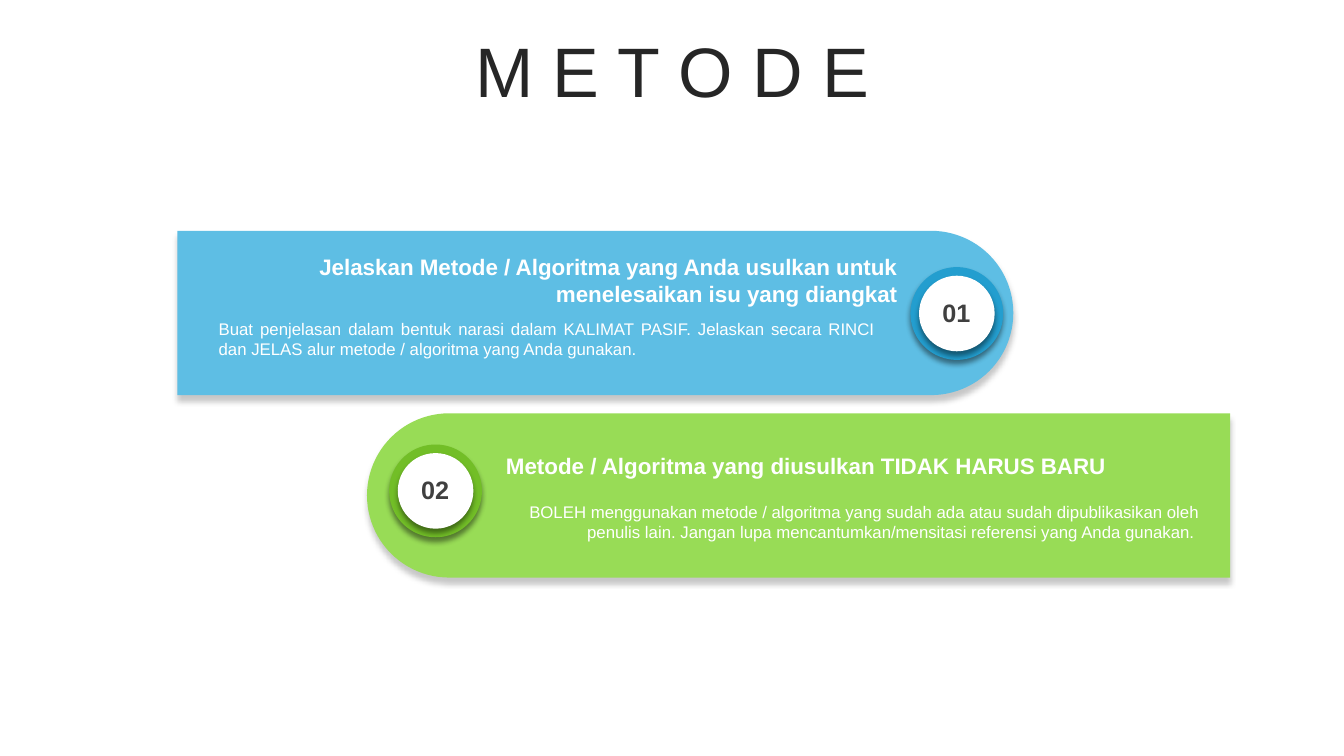
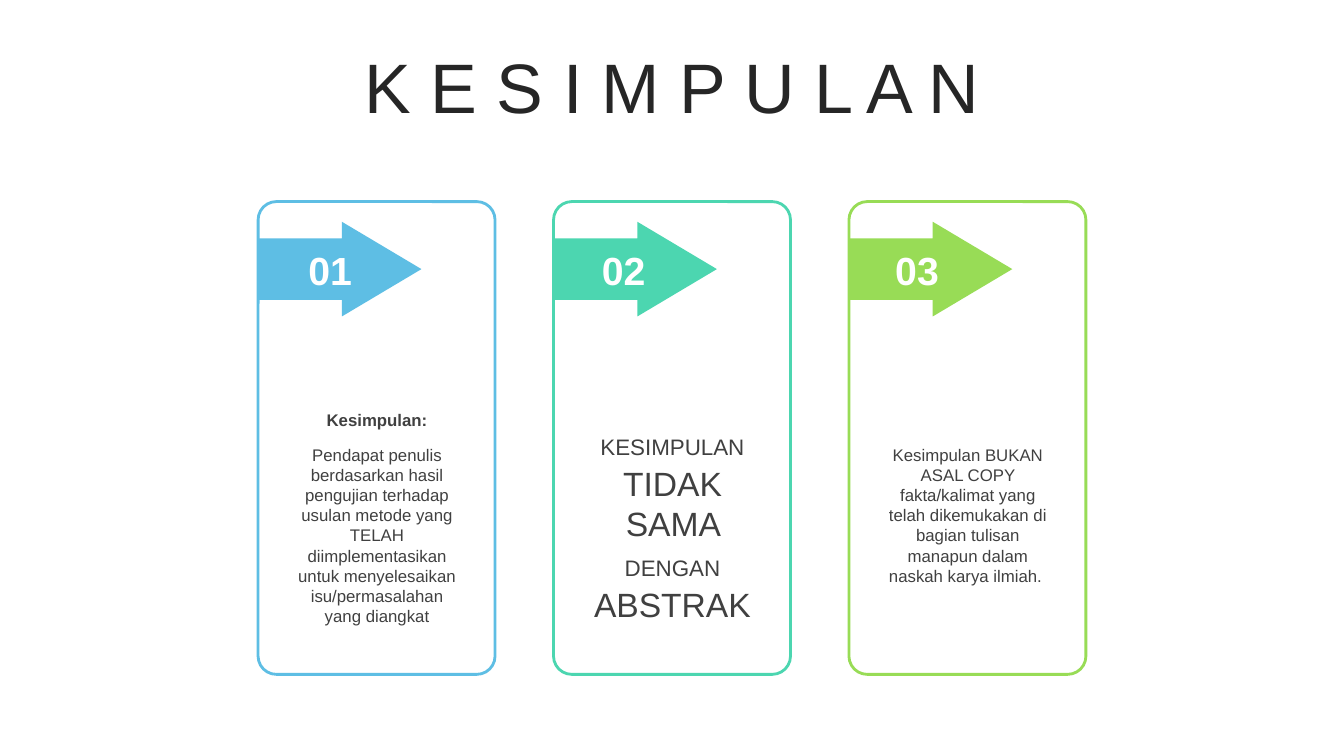
from lxml.etree import SubElement
from pptx import Presentation
from pptx.dml.color import RGBColor
from pptx.enum.shapes import MSO_SHAPE
from pptx.enum.text import MSO_ANCHOR, PP_ALIGN
from pptx.oxml.ns import qn
from pptx.util import Inches, Pt

BLUE, TEAL, GREEN = "5EBEE4", "4CD6B0", "98DC56"
DARK_BLUE, DARK_GREEN = "239ECF", "72BE27"
WHITE, GREY, BLACK = "FFFFFF", "404040", "262626"
FONT = "Arial"


def color(value):
    return RGBColor.from_string(value)


class Deck:
    """Holds the shared style and the slide being drawn."""

    def __init__(self):
        self.presentation = Presentation()
        self.presentation.slide_width = Inches(13.33)
        self.presentation.slide_height = Inches(7.5)
        self.slide = None

    def new_slide(self, title, top):
        self.slide = self.presentation.slides.add_slide(self.presentation.slide_layouts[6])
        self.text(0.34, top, 12.66, 0.79, [(title, 50)], BLACK,
                  align=PP_ALIGN.CENTER, anchor=MSO_ANCHOR.MIDDLE, line_spacing=0.8)

    def text(self, left, top, width, height, runs, ink, bold=False,
             align=PP_ALIGN.LEFT, anchor=MSO_ANCHOR.TOP, line_spacing=None):
        box = self.slide.shapes.add_textbox(Inches(left), Inches(top), Inches(width), Inches(height))
        frame = box.text_frame
        frame.word_wrap = True
        frame.vertical_anchor = anchor
        paragraph = frame.paragraphs[0]
        paragraph.alignment = align
        if line_spacing:
            paragraph.line_spacing = line_spacing
        for words, size in runs:
            run = paragraph.add_run()
            run.text = words
            run.font.name = FONT
            run.font.size = Pt(size)
            run.font.bold = bold
            run.font.color.rgb = color(ink)

    def shape(self, kind, left, top, width, height, fill, line=None, adjustments=(), rotation=0):
        shape = self.slide.shapes.add_shape(kind, Inches(left), Inches(top), Inches(width), Inches(height))
        shape.shadow.inherit = False
        shape.fill.solid()
        shape.fill.fore_color.rgb = color(fill)
        if line:
            shape.line.color.rgb = color(line)
            shape.line.width = Pt(2)
        else:
            shape.line.fill.background()
        for index, value in enumerate(adjustments):
            shape.adjustments[index] = value
        shape.rotation = rotation
        return shape

    def drop_shadow(self, shape, opacity, distance):
        effects = shape._element.spPr.find(qn("a:effectLst"))
        shadow = SubElement(effects, qn("a:outerShdw"), blurRad=str(Pt(4)), dist=str(Pt(distance)),
                            dir="5400000", algn="t", rotWithShape="0")
        shade = SubElement(shadow, qn("a:srgbClr"), val="000000")
        SubElement(shade, qn("a:alpha"), val=str(opacity * 1000))

    def band(self, left, top, length, fill, rotation):
        """A strip with one round end, made by turning an upright shape."""
        thickness = 1.63
        shift = (length - thickness) / 2
        shape = self.shape(MSO_SHAPE.ROUND_2_SAME_RECTANGLE, left + shift, top - shift, thickness,
                           length, fill, adjustments=(0.5, 0), rotation=rotation)
        self.drop_shadow(shape, 22, 4)

    def badge(self, center_x, center_y, number, ring):
        for diameter, fill in ((0.92, ring), (0.75, WHITE)):
            circle = self.shape(MSO_SHAPE.OVAL, center_x - diameter / 2, center_y - diameter / 2,
                                diameter, diameter, fill)
            self.drop_shadow(circle, 43, 3)
        self.text(center_x - 0.28, center_y - 0.21, 0.55, 0.4, [(number, 18)], GREY,
                  bold=True, align=PP_ALIGN.CENTER)

    def card(self, left, number, number_left, accent):
        self.shape(MSO_SHAPE.ROUNDED_RECTANGLE, left, 2, 2.35, 4.69, WHITE, accent, (0.077,))
        self.shape(MSO_SHAPE.RIGHT_ARROW, left, 2.2, 1.62, 0.94, accent, adjustments=(0.65, 0.84))
        self.text(number_left, 2.39, 0.71, 0.57, [(number, 28)], WHITE,
                  bold=True, align=PP_ALIGN.CENTER)


def build_method(deck):
    deck.new_slide("M E T O D E", 0.37)

    # Upper band, round end on the right
    deck.band(1.76, 2.29, 8.29, BLUE, 90)
    deck.badge(9.49, 3.11, "01", DARK_BLUE)
    deck.text(1.85, 2.46, 7.15, 0.64,
              [("Jelaskan Metode / Algoritma yang Anda usulkan untuk menelesaikan isu yang diangkat", 16)],
              WHITE, bold=True, align=PP_ALIGN.RIGHT)
    deck.text(2.07, 3.11, 6.71, 0.5,
              [("Buat penjelasan dalam bentuk narasi dalam KALIMAT PASIF. Jelaskan secara RINCI "
                "dan JELAS alur metode / algoritma yang Anda gunakan. ", 12)],
              WHITE, align=PP_ALIGN.JUSTIFY)

    # Lower band, round end on the left
    deck.band(3.64, 4.1, 8.56, GREEN, 270)
    deck.badge(4.32, 4.87, "02", DARK_GREEN)
    deck.text(4.92, 4.44, 7.2, 0.37,
              [("Metode / Algoritma yang diusulkan TIDAK HARUS BARU", 16)], WHITE, bold=True)
    deck.text(4.9, 4.93, 7.1, 0.5,
              [("BOLEH menggunakan metode / algoritma yang sudah ada atau sudah dipublikasikan oleh "
                "penulis lain. Jangan lupa mencantumkan/mensitasi referensi yang Anda gunakan. ", 12)],
              WHITE, align=PP_ALIGN.RIGHT)


def build_conclusion(deck):
    deck.new_slide("K E S I M P U L A N", 0.53)

    # Cards: accent, then text blocks as (top, height, bold, runs)
    cards = [
        (BLUE, [
            (4.02, 0.3, True, [("Kesimpulan:", 12)]),
            (4.36, 1.92, False, [("Pendapat penulis berdasarkan hasil pengujian terhadap usulan metode "
                                  "yang TELAH diimplementasikan untuk menyelesaikan isu/permasalahan "
                                  "yang diangkat", 12)]),
        ]),
        (TEAL, [
            (4.14, 2.12, False, [("KESIMPULAN", 16), (" TIDAK SAMA ", 24),
                                 ("DENGAN", 16), (" ABSTRAK", 24)]),
        ]),
        (GREEN, [
            (4.36, 1.51, False, [("Kesimpulan BUKAN ASAL COPY fakta/kalimat yang telah dikemukakan di "
                                  "bagian tulisan manapun dalam naskah karya ilmiah. ", 12)]),
        ]),
    ]
    for index, (accent, blocks) in enumerate(cards):
        left = 2.56 + 2.93 * index
        deck.card(left, f"{index + 1:02d}", 2.92 + 2.91 * index, accent)
        for top, height, bold, runs in blocks:
            deck.text(left + 0.28, top, 1.8, height, runs, GREY, bold=bold, align=PP_ALIGN.CENTER)


def main():
    deck = Deck()
    build_method(deck)
    build_conclusion(deck)
    deck.presentation.save("out.pptx")


if __name__ == "__main__":
    main()
